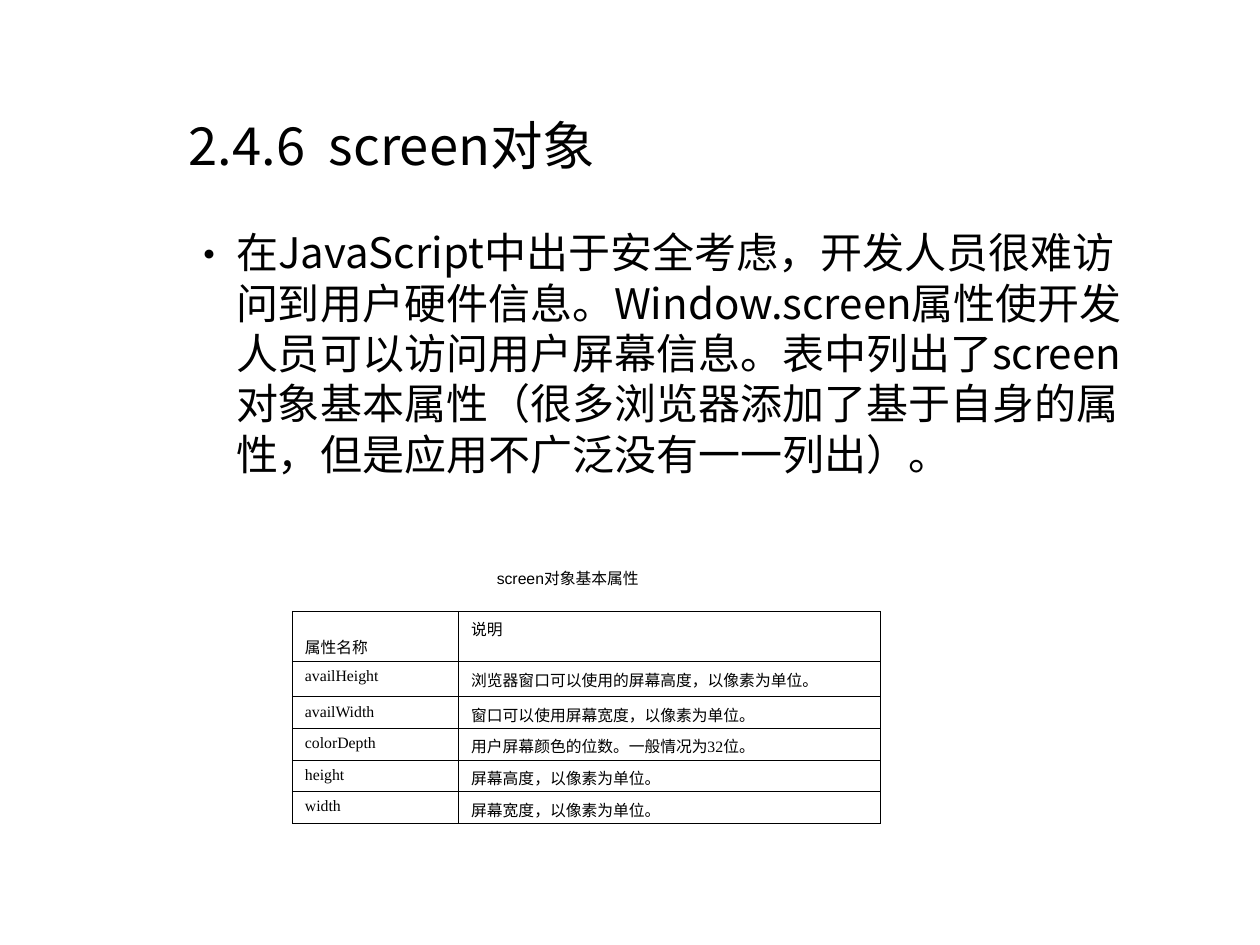
from lxml import etree
from pptx import Presentation
from pptx.dml.color import RGBColor
from pptx.enum.text import MSO_ANCHOR, MSO_AUTO_SIZE, PP_ALIGN
from pptx.oxml.ns import qn
from pptx.util import Inches, Pt

BLACK = RGBColor(0, 0, 0)
CJK_FONT = "Noto Sans CJK SC"
LATIN_FONT = "Arial"
TABLE_FONT = "Times New Roman"
TOP, MIDDLE, BOTTOM = MSO_ANCHOR.TOP, MSO_ANCHOR.MIDDLE, MSO_ANCHOR.BOTTOM
LEFT, CENTER = PP_ALIGN.LEFT, PP_ALIGN.CENTER
FIXED, GROW = MSO_AUTO_SIZE.NONE, MSO_AUTO_SIZE.SHAPE_TO_FIT_TEXT

TITLE = "2.4.6  screen对象"
EXPLANATION = (
    "在JavaScript中出于安全考虑，开发人员很难访问到用户硬件信息。"
    "Window.screen属性使开发人员可以访问用户屏幕信息。"
    "表中列出了screen对象基本属性（很多浏览器添加了基于自身的属性，"
    "但是应用不广泛没有一一列出）。"
)
CAPTION = "screen对象基本属性"
PROPERTIES = [
    ("属性名称", "说明"),
    ("availHeight", "浏览器窗口可以使用的屏幕高度，以像素为单位。"),
    ("availWidth", "窗口可以使用屏幕宽度，以像素为单位。"),
    ("colorDepth", "用户屏幕颜色的位数。一般情况为32位。"),
    ("height", "屏幕高度，以像素为单位。"),
    ("width", "屏幕宽度，以像素为单位。"),
]
COLUMN_WIDTHS = [1.32, 3.35]
ROW_HEIGHTS = [0.4, 0.28] + [0.25] * 4


class SlideWriter:
    def __init__(self, slide):
        self.slide = slide

    def style(self, paragraph, size, font):
        paragraph.font.size = Pt(size)
        paragraph.font.color.rgb = BLACK
        paragraph.font.name = font
        for run in paragraph.runs:
            properties = run._r.get_or_add_rPr()
            etree.SubElement(properties, qn("a:ea"), typeface=CJK_FONT)

    def text(self, content, box, size, font, anchor=TOP, align=LEFT, fit=FIXED):
        frame = self.slide.shapes.add_textbox(*map(Inches, box)).text_frame
        frame.word_wrap = fit == FIXED
        frame.auto_size = fit
        frame.vertical_anchor = anchor
        paragraph = frame.paragraphs[0]
        paragraph.text = content
        paragraph.alignment = align
        self.style(paragraph, size, font)
        return paragraph

    def bullet(self, content, box, size, font):
        paragraph = self.text(content, box, size, font)
        paragraph.space_before = Pt(6)
        properties = paragraph._p.get_or_add_pPr()
        properties.set("marL", str(Inches(0.375)))
        properties.set("indent", str(-Inches(0.375)))
        defaults = properties.find(qn("a:defRPr"))
        defaults.addprevious(etree.Element(qn("a:buFont"), typeface=font))
        defaults.addprevious(etree.Element(qn("a:buChar"), char="•"))

    def border(self, cell):
        properties = cell._tc.get_or_add_tcPr()
        for position, side in enumerate(("lnL", "lnR", "lnT", "lnB")):
            line = etree.Element(qn(f"a:{side}"), w=str(Pt(0.45)))
            fill = etree.SubElement(line, qn("a:solidFill"))
            etree.SubElement(fill, qn("a:srgbClr"), val=str(BLACK))
            properties.insert(position, line)

    def table(self, rows, left, top, widths, heights, size, font):
        table = self.slide.shapes.add_table(
            len(rows), len(widths), Inches(left), Inches(top),
            Inches(sum(widths)), Inches(sum(heights)),
        ).table
        for column, width in zip(table.columns, widths):
            column.width = Inches(width)
        for row, height, values in zip(table.rows, heights, rows):
            row.height = Inches(height)
            for cell, value in zip(row.cells, values):
                cell.text = value
                cell.fill.background()
                self.border(cell)
                self.style(cell.text_frame.paragraphs[0], size, font)
        table.first_row = False
        table.horz_banding = False
        heading = table.cell(0, 0)
        heading.vertical_anchor = BOTTOM
        heading.margin_bottom = Inches(0.03)


def main():
    deck = Presentation()
    deck.slide_width, deck.slide_height = Inches(10), Inches(7.5)
    writer = SlideWriter(deck.slides.add_slide(deck.slide_layouts[6]))
    writer.text(TITLE, (1.4, 0.75, 7.75, 0.8), 30, CJK_FONT, MIDDLE)
    writer.bullet(EXPLANATION, (1.4, 1.75, 7.77, 5.07), 24, CJK_FONT)
    writer.text(CAPTION, (3.83, 4.46, 1.35, 0.25), 9, LATIN_FONT,
                MIDDLE, CENTER, GROW)
    writer.table(PROPERTIES, 2.32, 4.85, COLUMN_WIDTHS, ROW_HEIGHTS, 9, TABLE_FONT)
    deck.save("out.pptx")


if __name__ == "__main__":
    main()
